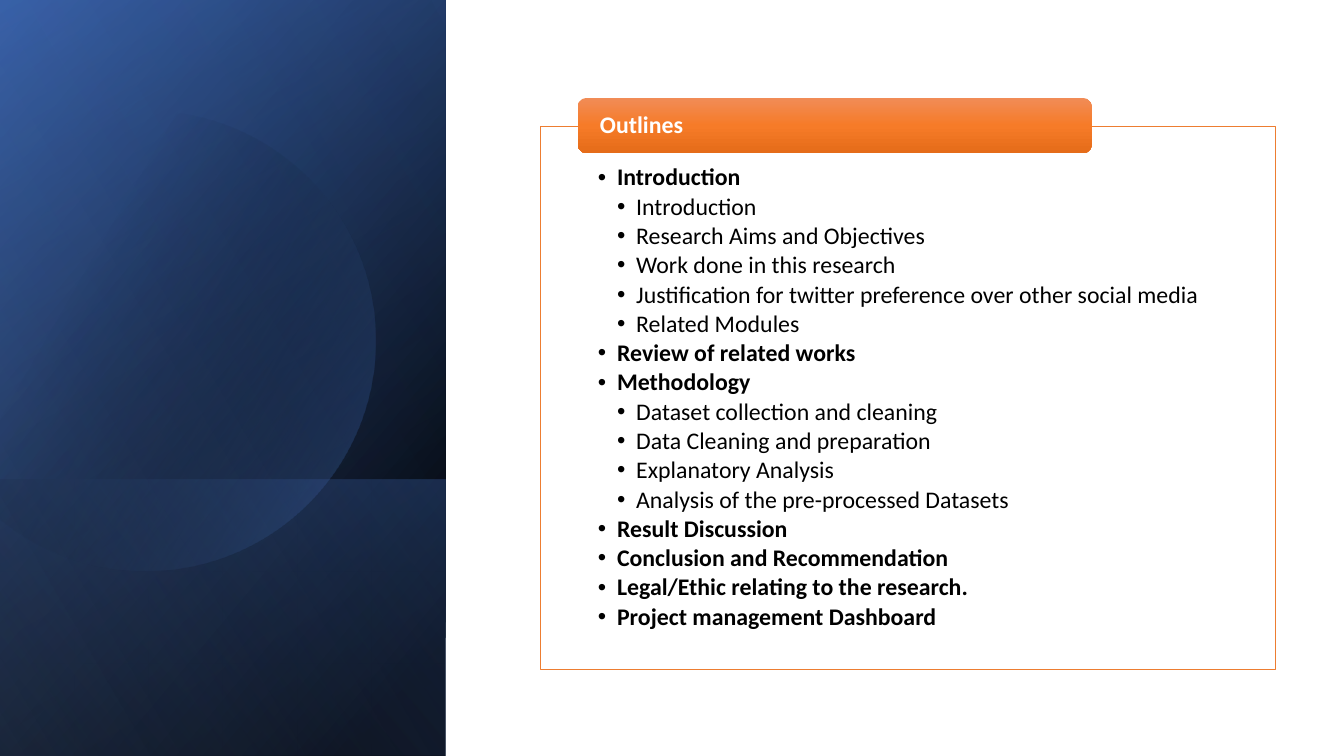
from dataclasses import dataclass
from math import cos, radians, sin, tan

from lxml import etree
from pptx import Presentation
from pptx.dml.color import RGBColor
from pptx.enum.shapes import MSO_SHAPE as Shape
from pptx.enum.text import MSO_ANCHOR as Anchor, MSO_AUTO_SIZE as AutoSize, PP_ALIGN as Align
from pptx.oxml.ns import qn
from pptx.util import Inches, Pt


@dataclass(frozen=True)
class Theme:
    font: str = "Calibri"
    size: Pt = Pt(17)
    black: str = "000000"
    white: str = "FFFFFF"
    blue: str = "4472C4"
    deep_blue: str = "2F5597"
    pale_blue: str = "8FAADC"
    orange: str = "ED7D31"
    tab_stops: tuple = ((0, "F18C57", 100), (50, "F67B28", 100), (100, "E56C19", 100))


theme = Theme()


def fill_gradient(shape, stops, angle):
    """Fill with (position %, colour, opacity %) stops at a clockwise angle; no line or shadow."""
    shape.shadow.inherit = False
    shape.line.fill.background()
    shape.fill.gradient()
    gradient = shape._element.spPr.find(qn("a:gradFill"))
    stop_list = gradient.find(qn("a:gsLst"))
    for stop in list(stop_list):
        stop_list.remove(stop)
    for position, colour, opacity in stops:
        stop = etree.SubElement(stop_list, qn("a:gs"), pos=str(position * 1000))
        rgb = etree.SubElement(stop, qn("a:srgbClr"), val=colour)
        if opacity < 100:
            etree.SubElement(rgb, qn("a:alpha"), val=str(opacity * 1000))
    gradient.find(qn("a:lin")).set("ang", str(angle * 60000))


def style_text(paragraph, colour, bold):
    paragraph.alignment = Align.LEFT
    paragraph.line_spacing = 0.9
    paragraph.font.name = theme.font
    paragraph.font.size = theme.size
    paragraph.font.bold = bold
    paragraph.font.color.rgb = RGBColor.from_string(colour)


prs = Presentation()
prs.slide_width, prs.slide_height = Inches(13.33), Inches(7.5)
slide = prs.slides.add_slide(prs.slide_layouts[5])
shapes = slide.shapes

# Layered blue side band; each layer is turned a quarter and mirrored
full_band = (-1.54, 1.54, 7.5, 4.42)
lower_band = (0.84, 3.92, 2.74, 4.42)
band_layers = [
    (full_band, ((8, theme.black, 100), (100, theme.deep_blue, 100)), 50),
    (full_band, ((0, theme.black, 0), (99, theme.blue, 46)), 30),
    (lower_band, ((2, theme.blue, 29), (100, theme.black, 30)), 130),
    (full_band, ((0, theme.black, 0), (99, theme.pale_blue, 11)), 120),
]
for index, (box, stops, angle) in enumerate(band_layers):
    if index == 3:  # the disc, cut off on the left, lies under the last layer
        center_x, center_y, radius = Inches(1.44), Inches(3.38), Inches(2.28)
        turns = [radians(degrees) for degrees in (-134, -90, 0, 90, 134)]
        rim = [(center_x + radius * cos(t), center_y + radius * sin(t)) for t in turns]
        outline = shapes.build_freeform(*rim[0])
        outline.add_line_segments(rim[1:], close=True)
        disc = outline.convert_to_shape()
        # Bend the straight sides into circular arcs
        sides = list(disc._element.iter(qn("a:lnTo")))
        for side, start, end, (x1, y1), (x2, y2) in zip(sides, turns, turns[1:], rim, rim[1:]):
            reach = radius * 4 / 3 * tan((end - start) / 4)
            controls = [
                (x1 - reach * sin(start), y1 + reach * cos(start)),
                (x2 + reach * sin(end), y2 - reach * cos(end)),
                (x2, y2),
            ]
            arc = etree.Element(qn("a:cubicBezTo"))
            for x, y in controls:
                etree.SubElement(arc, qn("a:pt"), x=str(round(x - disc.left)), y=str(round(y - disc.top)))
            side.getparent().replace(side, arc)
        fill_gradient(disc, ((29, theme.black, 0), (100, theme.blue, 43)), 30)
    layer = shapes.add_shape(Shape.RECTANGLE, *map(Inches, box))
    layer.rotation = 90
    layer._element.spPr.find(qn("a:xfrm")).set("flipH", "1")
    fill_gradient(layer, stops, angle)

# Outline panel
outline_items = [
    ("Introduction", [
        "Introduction",
        "Research Aims and Objectives",
        "Work done in this research",
        "Justification for twitter preference over other social media",
        "Related Modules",
    ]),
    ("Review of related works", []),
    ("Methodology", [
        "Dataset collection and cleaning",
        "Data Cleaning and preparation",
        "Explanatory Analysis",
        "Analysis of the pre-processed Datasets",
    ]),
    ("Result Discussion", []),
    ("Conclusion and Recommendation", []),
    ("Legal/Ethic relating to the research.", []),
    ("Project management Dashboard", []),
]
panel = shapes.add_shape(Shape.RECTANGLE, Inches(5.36), Inches(1.25), Inches(7.29), Inches(5.39))
panel.shadow.inherit = False
panel.fill.solid()
panel.fill.fore_color.rgb = RGBColor.from_string(theme.white)
panel_rgb = panel._element.spPr.find(qn("a:solidFill")).find(qn("a:srgbClr"))
etree.SubElement(panel_rgb, qn("a:alpha"), val="90000")
panel.line.color.rgb = RGBColor.from_string(theme.orange)
panel.line.width = Pt(0.5)

body = panel.text_frame
body.word_wrap = True
body.vertical_anchor = Anchor.TOP
body.margin_left = body.margin_right = Inches(0.57)
body.margin_top, body.margin_bottom = Inches(0.39), Inches(0.13)
lines = []
for section, topics in outline_items:
    lines.append((section, 0))
    lines.extend((topic, 1) for topic in topics)
for index, (text, level) in enumerate(lines):
    paragraph = body.add_paragraph() if index else body.paragraphs[0]
    paragraph.text = text
    paragraph.level = level
    paragraph.space_after = Pt(2.55)
    props = paragraph._p.get_or_add_pPr()
    props.set("marL", str(Inches(0.19 * (level + 1))))
    props.set("indent", str(Inches(-0.19)))
    etree.SubElement(props, qn("a:buFont"), typeface="Arial")
    etree.SubElement(props, qn("a:buChar"), char="•")
    style_text(paragraph, theme.black, bold=level == 0)

# Heading tab, with the title on top of it
tab = shapes.add_shape(Shape.ROUNDED_RECTANGLE, Inches(5.73), Inches(0.97), Inches(5.1), Inches(0.55))
fill_gradient(tab, theme.tab_stops, 90)

title = shapes.title
title.left, title.top, title.width, title.height = map(Inches, (5.76, 1, 5.05, 0.5))
heading = title.text_frame
heading.text = "Outlines"
heading.word_wrap = True
heading.auto_size = AutoSize.NONE
heading.vertical_anchor = Anchor.MIDDLE
heading.margin_left = heading.margin_right = Inches(0.19)
heading.margin_top = heading.margin_bottom = 0
style_text(heading.paragraphs[0], theme.white, bold=True)
title._element.getparent().append(title._element)

prs.save("out.pptx")
